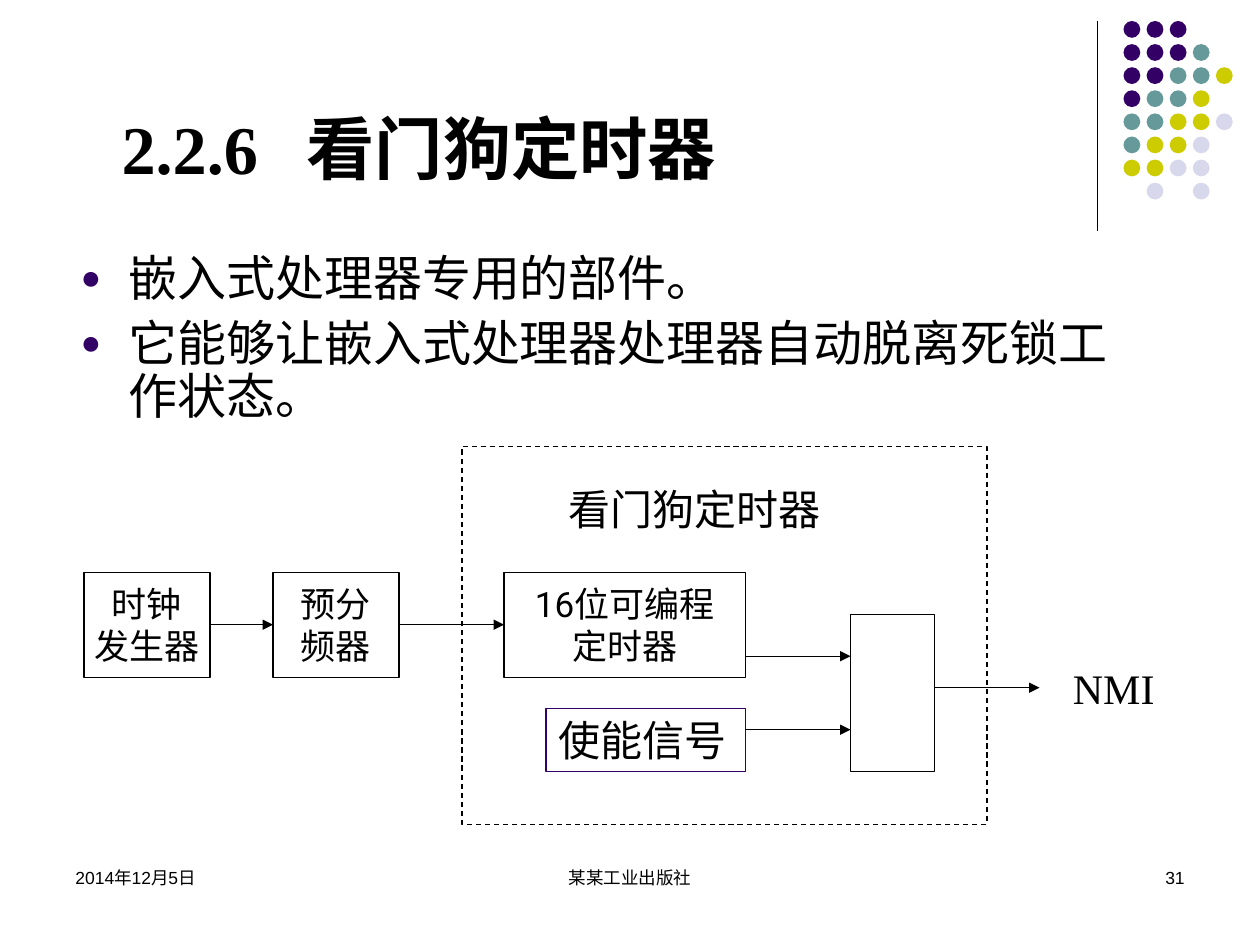
from lxml import etree
from pptx import Presentation
from pptx.dml.color import RGBColor
from pptx.enum.dml import MSO_LINE
from pptx.enum.shapes import MSO_CONNECTOR, MSO_SHAPE
from pptx.enum.text import MSO_ANCHOR, PP_ALIGN
from pptx.oxml.ns import qn
from pptx.util import Inches, Pt

RECT, OVAL = MSO_SHAPE.RECTANGLE, MSO_SHAPE.OVAL
STRAIGHT = MSO_CONNECTOR.STRAIGHT
DASH = MSO_LINE.DASH
TOP, MIDDLE, BOTTOM = MSO_ANCHOR.TOP, MSO_ANCHOR.MIDDLE, MSO_ANCHOR.BOTTOM
LEFT, CENTER, RIGHT = PP_ALIGN.LEFT, PP_ALIGN.CENTER, PP_ALIGN.RIGHT

COLORS = {"black": "000000", "white": "FFFFFF", "purple": "330066",
          "teal": "669999", "lime": "CCCC00", "lilac": "D8D8EC"}
SERIF, SANS, FOOTER = "Times New Roman", "Roboto", "Arial"

DOT_COLORS = {"P": "purple", "T": "teal", "Y": "lime", "L": "lilac"}
DOT_ROWS = ["PPP", "PPPT", "PPTTY", "PTTY", "TTYYL", "TYYL", "YYLL", " L L"]
DOT_LEFT, DOT_TOP, DOT_PITCH, DOT_SIZE = 107, 2, 2.2, 1.6


def grid(*units):
    """Turn grid units into lengths; the slide is 120 columns by 90 rows."""
    return [Inches(u / 12) for u in units]


def rgb(name):
    return RGBColor.from_string(COLORS[name])


def add_xml(parent, tag, **attrs):
    return etree.SubElement(parent, qn(tag), attrs)


def write(s, lines, font, anchor=TOP, align=LEFT, wrap=True, para=None):
    """Fill a shape with one paragraph per line."""
    tf = s.text_frame
    tf.word_wrap, tf.vertical_anchor = wrap, anchor
    for i, line in enumerate(lines):
        p = tf.add_paragraph() if i else tf.paragraphs[0]
        p.alignment = align
        for key, value in (para or {}).items():
            setattr(p, key, value)
        r = p.add_run()
        r.text = line
        r.font.color.rgb = rgb("black")
        for key, value in font.items():
            setattr(r.font, key, value)
    return tf.paragraphs


def add_text(slide, at, lines, font, **layout):
    return write(slide.shapes.add_textbox(*grid(*at)), lines, font, **layout)


def add_solid(slide, kind, at, fill="white", line=None):
    s = slide.shapes.add_shape(kind, *grid(*at))
    s.shadow.inherit = False
    s.fill.solid()
    s.fill.fore_color.rgb = rgb(fill)
    if line:
        s.line.color.rgb, s.line.width = rgb(line), Pt(0.75)
    else:
        s.line.fill.background()
    return s


def add_line(slide, x1, y1, x2, y2, arrow=True):
    s = slide.shapes.add_connector(STRAIGHT, *grid(x1, y1, x2, y2))
    s.line.color.rgb, s.line.width = rgb("black"), Pt(0.75)
    if arrow:
        add_xml(s.line._get_or_add_ln(), "a:tailEnd", type="triangle")
    add_xml(s._element.spPr, "a:effectLst")


def add_bullet(p):
    pPr = p._p.get_or_add_pPr()
    pPr.set("marL", str(Inches(0.38)))
    pPr.set("indent", str(-Inches(0.38)))
    add_xml(add_xml(pPr, "a:buClr"), "a:srgbClr", val=COLORS["purple"])
    add_xml(pPr, "a:buSzPct", val="70000")
    add_xml(pPr, "a:buFont", typeface=FOOTER)
    add_xml(pPr, "a:buChar", char="●")


def add_corner_dots(slide):
    add_line(slide, 104.5, 2, 104.5, 22, arrow=False)
    for row, codes in enumerate(DOT_ROWS):
        for col, code in enumerate(codes):
            if code in DOT_COLORS:
                at = (DOT_LEFT + col * DOT_PITCH, DOT_TOP + row * DOT_PITCH,
                      DOT_SIZE, DOT_SIZE)
                add_solid(slide, OVAL, at, DOT_COLORS[code])


def add_heading_and_points(slide):
    title = add_text(slide, (10.4, 3, 92.2, 15.5), ["2.2.6\t看门狗定时器"],
                     {"name": SERIF, "size": Pt(39), "bold": True}, anchor=BOTTOM)
    tabs = add_xml(title[0]._p.get_or_add_pPr(), "a:tabLst")
    add_xml(tabs, "a:tab", pos=str(Inches(1.47)), algn="l")
    points = ["嵌入式处理器专用的部件。",
              "它能够让嵌入式处理器处理器自动脱离死锁工作状态。"]
    for p in add_text(slide, (6.5, 23.6, 102.1, 19.8), points,
                      {"name": SERIF, "size": Pt(28)},
                      para={"line_spacing": 0.9, "space_before": Pt(7)}):
        add_bullet(p)


def add_watchdog_diagram(slide):
    add_solid(slide, RECT, (44, 42.5, 50, 36), line="black").line.dash_style = DASH
    for left, width, lines in [(8, 12, ["时钟", "发生器"]),
                               (26, 12, ["预分", "频器"]),
                               (48, 23, ["16位可编程", "定时器"])]:
        s = add_solid(slide, RECT, (left, 54.5, width, 10), line="black")
        write(s, lines, {"name": SANS, "size": Pt(20)}, MIDDLE, CENTER, wrap=False)
    for at, text, font, line in [((53, 45.5, 37, 6), "看门狗定时器", SANS, None),
                                 ((52, 67.5, 19, 6), "使能信号", SANS, "purple"),
                                 ((101, 62.5, 11, 6), "NMI", SERIF, None)]:
        s = add_solid(slide, RECT, at, line=line)
        write(s, [text], {"name": font, "size": Pt(24)})
    add_solid(slide, RECT, (81, 58.5, 8, 15), line="black")
    for x1, x2, y in [(20, 26, 59.5), (38, 48, 59.5), (71, 81, 62.5),
                      (71, 81, 69.5), (89, 99, 65.5)]:
        add_line(slide, x1, y, x2, y)


def add_footer(slide):
    for left, width, text, align in [(41, 38, "某某工业出版社", CENTER),
                                     (86, 28, "31", RIGHT),
                                     (6, 28, "2014年12月5日", LEFT)]:
        add_text(slide, (left, 82, width, 6), [text],
                 {"name": FOOTER, "size": Pt(10)}, align=align)


def main():
    prs = Presentation()
    prs.slide_width, prs.slide_height = grid(120, 90)
    slide = prs.slides.add_slide(prs.slide_layouts[6])
    add_corner_dots(slide)
    add_heading_and_points(slide)
    add_watchdog_diagram(slide)
    add_footer(slide)
    prs.save("out.pptx")


if __name__ == "__main__":
    main()
